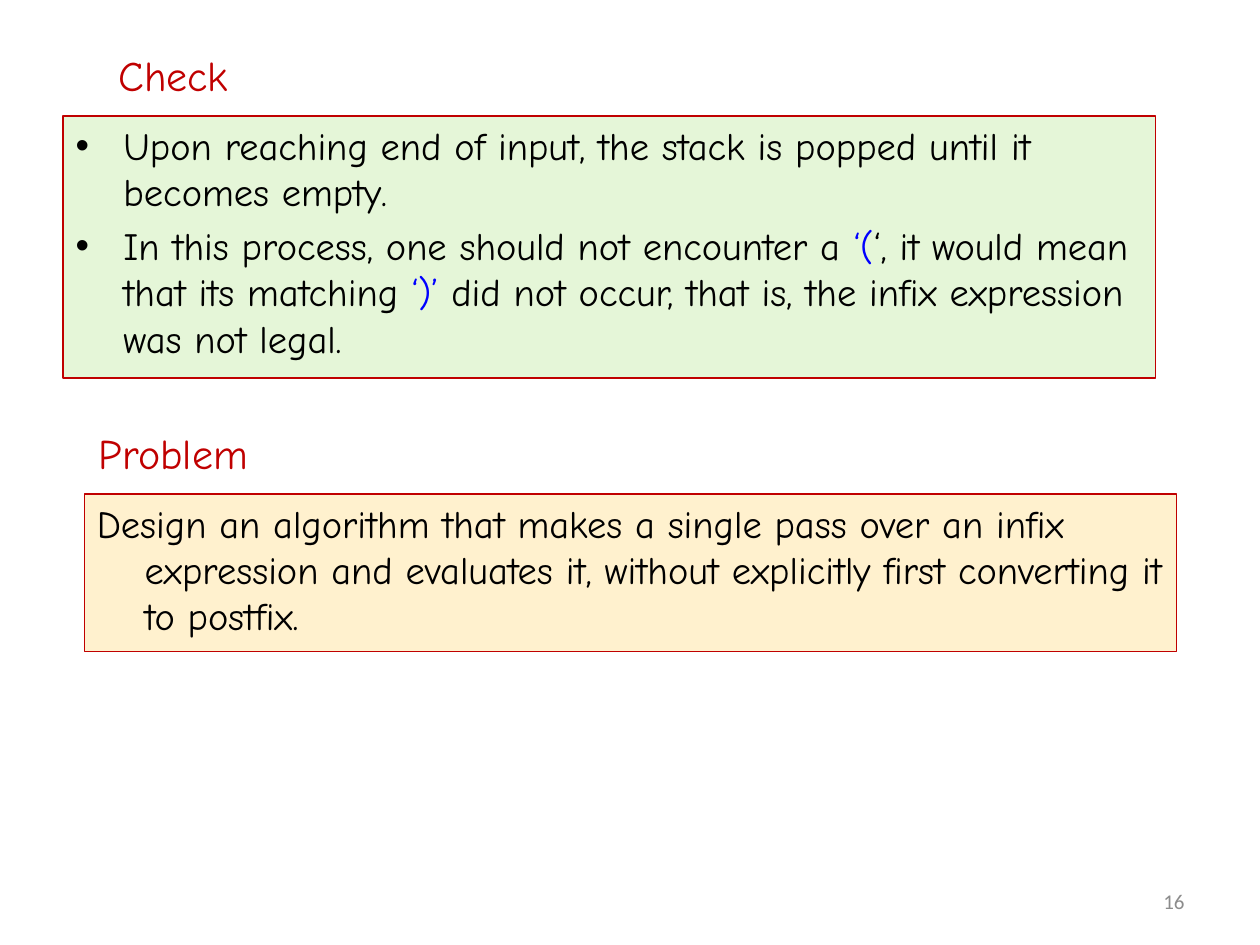
from lxml import etree
from pptx import Presentation
from pptx.dml.color import RGBColor
from pptx.enum.shapes import MSO_SHAPE
from pptx.enum.text import MSO_ANCHOR, MSO_AUTO_SIZE, PP_ALIGN
from pptx.oxml.ns import qn
from pptx.util import Inches, Pt

RECT = MSO_SHAPE.RECTANGLE
TOP, MIDDLE = MSO_ANCHOR.TOP, MSO_ANCHOR.MIDDLE
LEFT, CENTER, RIGHT = PP_ALIGN.LEFT, PP_ALIGN.CENTER, PP_ALIGN.RIGHT
NO_FIT = MSO_AUTO_SIZE.NONE

RED = RGBColor(0xC0, 0x00, 0x00)
BLACK = RGBColor(0x00, 0x00, 0x00)
BLUE = RGBColor(0x00, 0x00, 0xFF)
GRAY = RGBColor(0x8C, 0x8C, 0x8C)
GREEN_FILL = RGBColor(0xE5, 0xF6, 0xD8)
CREAM_FILL = RGBColor(0xFF, 0xF1, 0xCE)

HEADING = {"name": "Comic Neue", "size": Pt(24)}
BODY = {"name": "Comic Neue", "size": Pt(22)}
NUMBER = {"name": "Calibri", "size": Pt(12)}
INDENT = Inches(0.38)

CHECK = [
    [("Upon reaching end of input, the stack is popped until it becomes empty.", BLACK)],
    [("In this process, one should not encounter a ", BLACK),
     ("‘(", BLUE),
     ("‘, it would mean that its matching ", BLACK),
     ("‘)’ ", BLUE),
     ("did not occur, that is, the infix expression was not legal.", BLACK)],
]
PROBLEM = [
    [("Design an algorithm that makes a single pass over an infix expression "
      "and evaluates it, without explicitly first converting it to postfix.", BLACK)],
]


def place(sp, box):
    """Move a shape to a box of left, top, width and height in inches."""
    for name, value in zip(("left", "top", "width", "height"), box):
        setattr(sp, name, Inches(value))


def write(sp, paragraphs, font, align, anchor):
    """Fill a shape with paragraphs made of (text, colour) runs."""
    tf = sp.text_frame
    frame = {"word_wrap": True, "auto_size": NO_FIT, "vertical_anchor": anchor}
    for name, value in frame.items():
        setattr(tf, name, value)
    for i, runs in enumerate(paragraphs):
        p = tf.paragraphs[0] if i == 0 else tf.add_paragraph()
        p.alignment = align
        for text, color in runs:
            r = p.add_run()
            r.text = text
            for name, value in font.items():
                setattr(r.font, name, value)
            r.font.color.rgb = color


def heading(sp, box, text):
    """Set a red section heading in its box."""
    place(sp, box)
    write(sp, [[(text, RED)]], HEADING, CENTER, MIDDLE)


def panel(sp, box, paragraphs, fill, bullet=None):
    """Set a filled, red-lined panel of hanging paragraphs in its box."""
    place(sp, box)
    sp.fill.solid()
    sp.fill.fore_color.rgb = fill
    sp.line.color.rgb = RED
    sp.line.width = Pt(0.75)
    write(sp, paragraphs, BODY, LEFT, TOP)
    for p in sp.text_frame.paragraphs:
        p.space_before = Pt(4.4)
        pPr = p._p.get_or_add_pPr()
        pPr.set("marL", str(INDENT))
        pPr.set("indent", str(-INDENT))
        if bullet:
            etree.SubElement(pPr, qn("a:buFont")).set("typeface", "Arial")
            etree.SubElement(pPr, qn("a:buChar")).set("char", bullet)


def page_number(sp, box, text):
    """Set the gray page number in its box."""
    place(sp, box)
    write(sp, [[(text, GRAY)]], NUMBER, RIGHT, MIDDLE)


def main():
    """Build the slide and save it."""
    prs = Presentation()
    prs.slide_width, prs.slide_height = Inches(10), Inches(7.5)
    s = prs.slides.add_slide(prs.slide_layouts[1])
    shapes = s.shapes

    heading(shapes.title, (0.5, 0.33, 1.75, 0.53), "Check")
    panel(s.placeholders[1], (0.5, 0.92, 8.67, 2.08), CHECK, GREEN_FILL, "•")
    page_number(shapes.add_textbox(0, 0, 0, 0), (7.17, 6.95, 2.33, 0.4), "16")

    box = shapes.add_shape(RECT, 0, 0, 0, 0)
    box.shadow.inherit = False
    panel(box, (0.67, 3.92, 8.67, 1.25), PROBLEM, CREAM_FILL)
    heading(shapes.add_textbox(0, 0, 0, 0), (0.5, 3.33, 1.75, 0.53), "Problem")

    prs.save("out.pptx")


if __name__ == "__main__":
    main()
